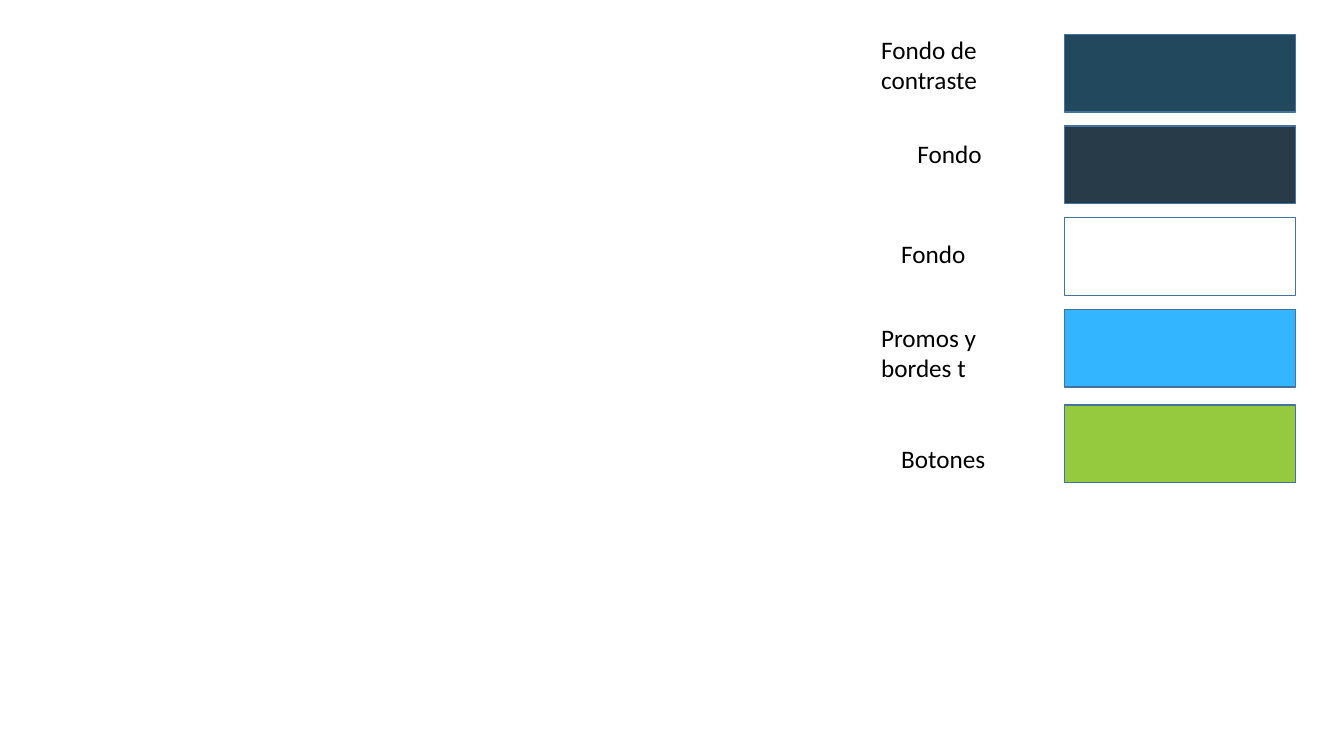
from dataclasses import dataclass

from pptx import Presentation
from pptx import util as u
from pptx.dml.color import RGBColor
from pptx.enum import shapes, text


@dataclass(frozen=True)
class Theme:
    font: str = "Calibri"
    label_size: int = 18
    ink: str = "000000"
    border: str = "43739E"
    contrast: str = "22485E"
    dark: str = "273C48"
    light: str = "FFFFFF"
    promo: str = "33B5FF"
    button: str = "95CA3E"


THEME = Theme()
SWATCH_LEFT, SWATCH_WIDTH, SWATCH_HEIGHT = 10.56, 2.29, 0.77
LABEL_WIDTH = 1.89

# swatch colour, swatch top, label, label left, label top, label height
PALETTE = [
    (THEME.contrast, 0.34, "Fondo de contraste", 8.64, 0.29, 0.71),
    (THEME.dark, 1.25, "Fondo", 9, 1.32, 0.4),
    (THEME.light, 2.16, "Fondo", 8.84, 2.32, 0.4),
    (THEME.promo, 3.07, "Promos y bordes t", 8.64, 3.15, 0.71),
    (THEME.button, 4.02, "Botones", 8.84, 4.35, 0.4),
]


def add_swatch(slide, colour, top):
    swatch = slide.shapes.add_shape(
        shapes.MSO_SHAPE.RECTANGLE, u.Inches(SWATCH_LEFT), u.Inches(top),
        u.Inches(SWATCH_WIDTH), u.Inches(SWATCH_HEIGHT))
    swatch.shadow.inherit = False
    swatch.fill.solid()
    swatch.fill.fore_color.rgb = RGBColor.from_string(colour)
    swatch.line.color.rgb = RGBColor.from_string(THEME.border)
    swatch.line.width = u.Pt(1)


def add_label(slide, wording, left, top, height):
    label = slide.shapes.add_textbox(
        u.Inches(left), u.Inches(top), u.Inches(LABEL_WIDTH), u.Inches(height))
    frame = label.text_frame
    frame.word_wrap = True
    frame.auto_size = text.MSO_AUTO_SIZE.SHAPE_TO_FIT_TEXT
    run = frame.paragraphs[0].add_run()
    run.text = wording
    run.font.name = THEME.font
    run.font.size = u.Pt(THEME.label_size)
    run.font.color.rgb = RGBColor.from_string(THEME.ink)


def main():
    presentation = Presentation()
    presentation.slide_width = u.Inches(13.33)
    presentation.slide_height = u.Inches(7.5)
    slide = presentation.slides.add_slide(presentation.slide_layouts[6])
    for colour, swatch_top, wording, left, top, height in PALETTE:
        add_swatch(slide, colour, swatch_top)
        add_label(slide, wording, left, top, height)
    presentation.save("out.pptx")


if __name__ == "__main__":
    main()
